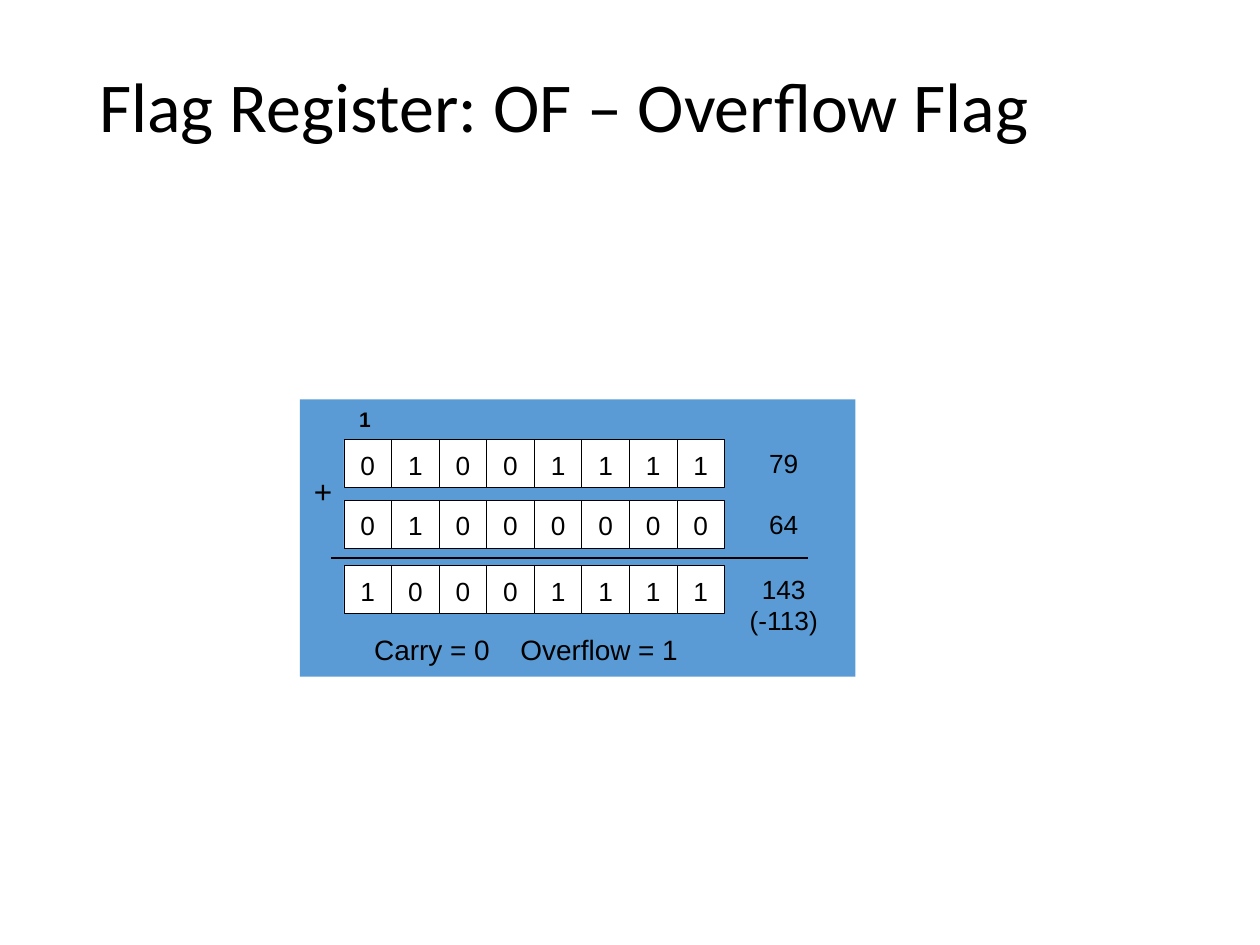
from dataclasses import dataclass

from lxml.etree import SubElement
from pptx import Presentation
from pptx.dml.color import RGBColor
from pptx.enum.shapes import MSO_CONNECTOR, MSO_SHAPE
from pptx.enum.text import MSO_ANCHOR, PP_ALIGN
from pptx.oxml.ns import qn
from pptx.util import Inches, Pt


@dataclass(frozen=True)
class Theme:
    """Colours, fonts and type sizes of the slide."""
    ink: RGBColor = RGBColor(0x00, 0x00, 0x00)
    paper: RGBColor = RGBColor(0xFF, 0xFF, 0xFF)
    panel: RGBColor = RGBColor(0x5B, 0x9B, 0xD5)
    title_font: str = "Calibri"
    body_font: str = "Arial"
    title_size: int = 40
    operator_size: int = 18
    flag_size: int = 16
    digit_size: int = 15
    carry_size: int = 12
    cell_line: float = 0.38
    sum_line: float = 1.13


THEME = Theme()
CELLS_LEFT, CELLS_WIDTH, CELL_HEIGHT = 2.73, 3.02, 0.38
FLAG_TAB = 1.16
ROWS = [
    (3.49, "01001111", ["79"]),
    (3.97, "01000000", ["64"]),
    (4.49, "10001111", ["143", "(-113)"]),
]


def style_paragraph(para, size, font=THEME.body_font, align=PP_ALIGN.LEFT, bold=False):
    """Give one paragraph its font and alignment."""
    para.alignment = align
    para.font.name = font
    para.font.size = Pt(size)
    para.font.bold = bold
    para.font.color.rgb = THEME.ink


def clear_margins(frame):
    """Remove the inner margins of a text frame."""
    frame.margin_left = frame.margin_right = 0
    frame.margin_top = frame.margin_bottom = 0


def add_label(slide, place, lines, size, wrap=True, **style):
    """Add a text box without margins, one paragraph for each line."""
    box = slide.shapes.add_textbox(*map(Inches, place))
    frame = box.text_frame
    clear_margins(frame)
    frame.word_wrap = wrap
    frame.text = "\n".join(lines)
    for para in frame.paragraphs:
        style_paragraph(para, size, **style)
    return box


def add_title(slide, text):
    """Add the slide title."""
    box = slide.shapes.add_textbox(Inches(0.69), Inches(0.15), Inches(8.62), Inches(1.45))
    frame = box.text_frame
    frame.word_wrap = True
    frame.vertical_anchor = MSO_ANCHOR.MIDDLE
    frame.text = text
    para = frame.paragraphs[0]
    para.line_spacing = 0.9
    style_paragraph(para, THEME.title_size, font=THEME.title_font)


def add_rectangle(slide, place, fill):
    """Add a plain rectangle without outline or shadow."""
    box = slide.shapes.add_shape(MSO_SHAPE.RECTANGLE, *map(Inches, place))
    box.shadow.inherit = False
    box.fill.solid()
    box.fill.fore_color.rgb = fill
    box.line.fill.background()
    return box


def add_bit_cell(slide, place, bit):
    """Add an outlined cell that holds one bit."""
    cell = add_rectangle(slide, place, THEME.paper)
    cell.line.color.rgb = THEME.ink
    cell.line.width = Pt(THEME.cell_line)
    frame = cell.text_frame
    clear_margins(frame)
    frame.margin_top = Inches(0.02)
    frame.vertical_anchor = MSO_ANCHOR.MIDDLE
    frame.text = bit
    style_paragraph(frame.paragraphs[0], THEME.digit_size, align=PP_ALIGN.CENTER)


def add_number_row(slide, top, bits, values):
    """Add a binary number and its decimal value."""
    width = CELLS_WIDTH / len(bits)
    for column, bit in enumerate(bits):
        add_bit_cell(slide, (CELLS_LEFT + column * width, top, width, CELL_HEIGHT), bit)
    add_label(slide, (5.78, top + 0.06, 0.88, 0.25 * len(values)), values,
              THEME.digit_size, align=PP_ALIGN.CENTER)


def add_sum_line(slide):
    """Add the line between the addends and the sum."""
    line = slide.shapes.add_connector(
        MSO_CONNECTOR.STRAIGHT, Inches(2.63), Inches(4.43), Inches(6.41), Inches(4.43))
    line.line.color.rgb = THEME.ink
    line.line.width = Pt(THEME.sum_line)
    SubElement(line._element.spPr, qn("a:effectLst"))


def add_flags(slide, flags):
    """Add the resulting flags, set apart by a tab stop."""
    box = add_label(slide, (2.97, 5.02, 2.81, 0.27), ["\t".join(flags)], THEME.flag_size)
    properties = box.text_frame.paragraphs[0]._p.get_or_add_pPr()
    stops = SubElement(properties, qn("a:tabLst"))
    SubElement(stops, qn("a:tab"), pos=str(Inches(FLAG_TAB)), algn="l")
    properties.insert(0, stops)


def main():
    """Build the slide and save it."""
    deck = Presentation()
    deck.slide_width, deck.slide_height = Inches(10), Inches(7.5)
    page = deck.slides.add_slide(deck.slide_layouts[6])
    add_title(page, "Flag Register: OF – Overflow Flag")
    add_rectangle(page, (2.38, 3.17, 4.41, 2.2), THEME.panel)
    for top, bits, values in ROWS:
        add_number_row(page, top, bits, values)
    add_sum_line(page)
    add_label(page, (2.49, 3.75, 0.15, 0.3), ["+"], THEME.operator_size, wrap=False)
    add_label(page, (2.85, 3.23, 0.09, 0.2), ["1"], THEME.carry_size, wrap=False, bold=True)
    add_flags(page, ["Carry = 0", "Overflow = 1"])
    deck.save("out.pptx")


if __name__ == "__main__":
    main()
